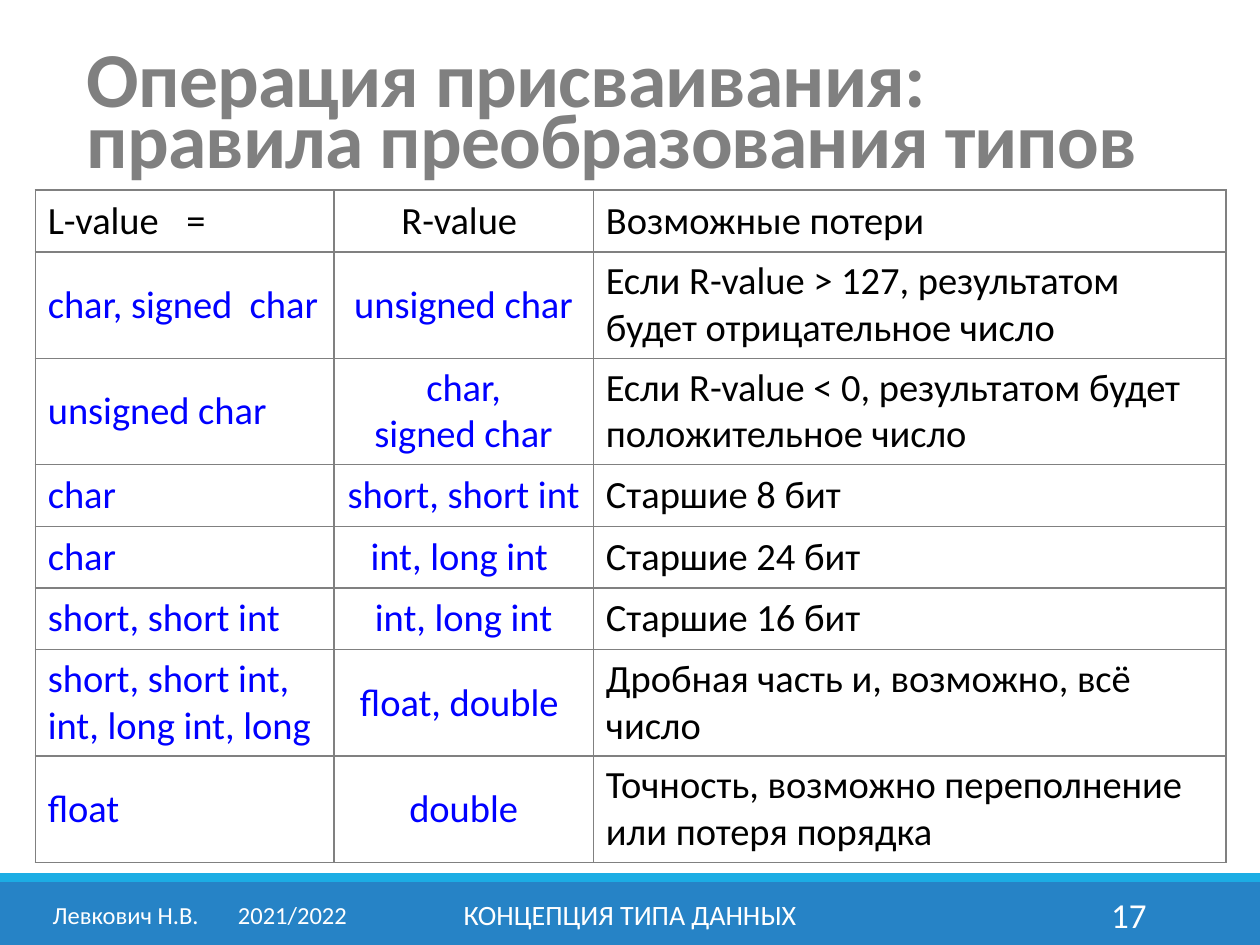
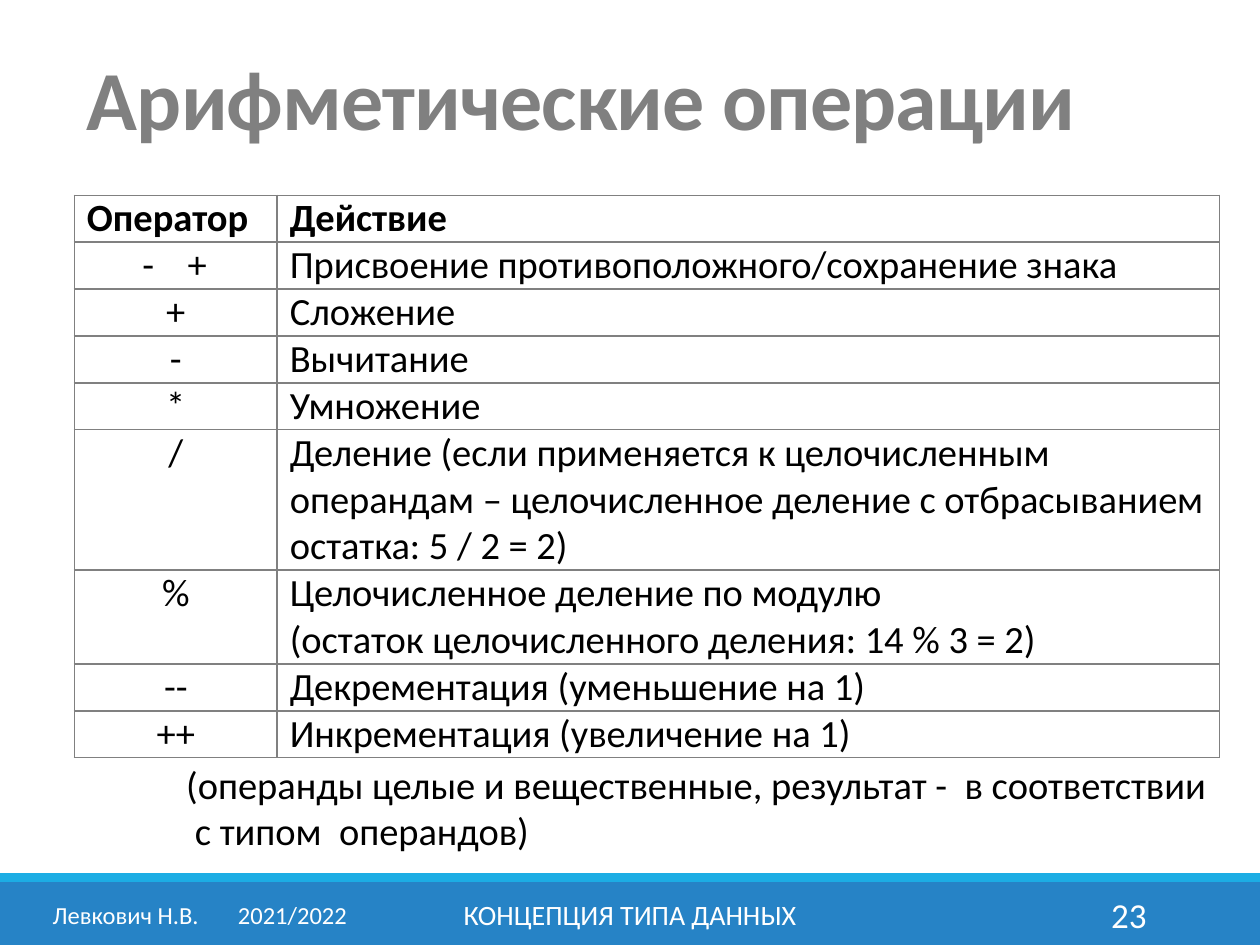
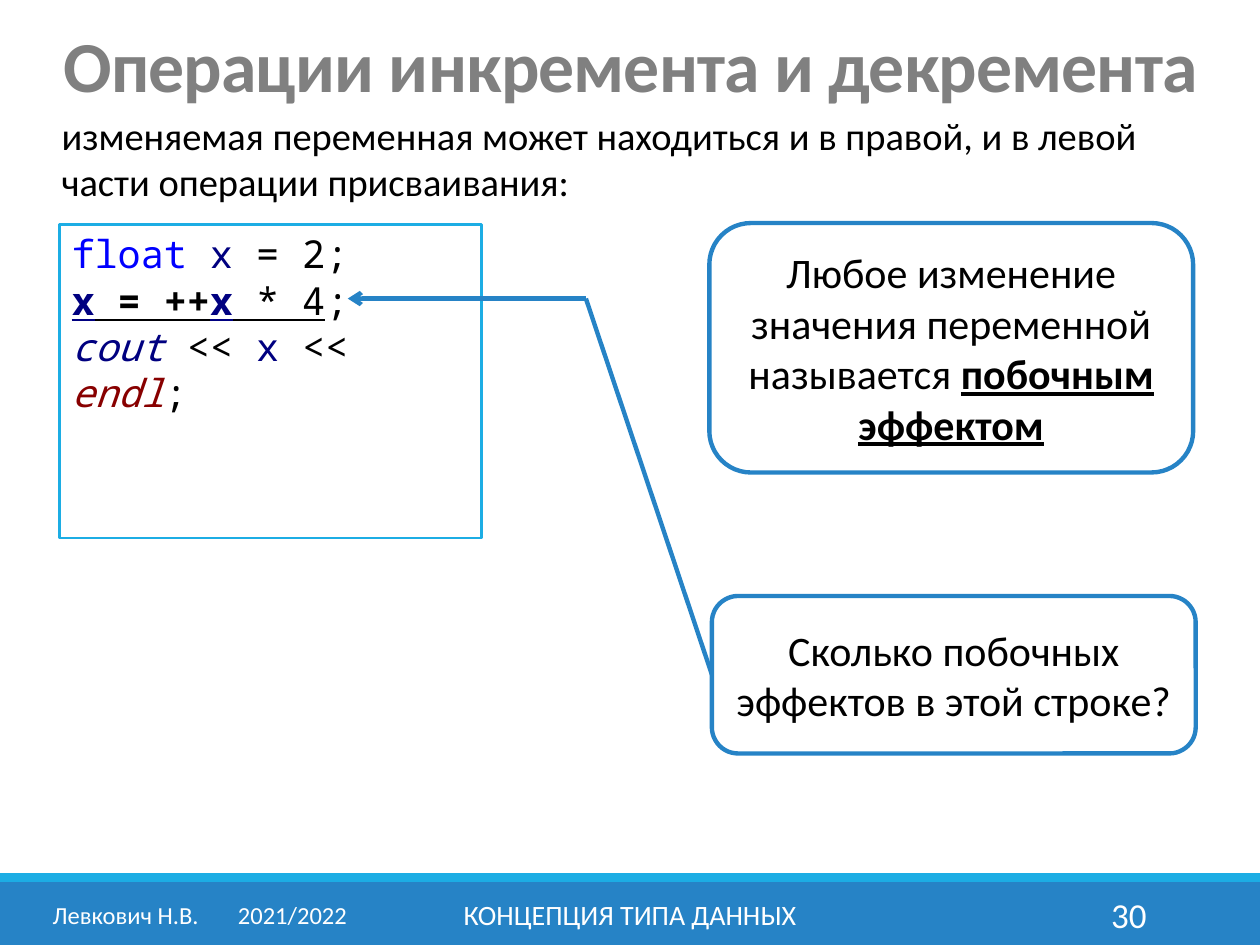
"""Build three slides on C++ type conversion, arithmetic and increment operations."""
from dataclasses import dataclass, field
from typing import Any, NamedTuple

from lxml import etree
from pptx import Presentation
from pptx import util as u
from pptx.dml.color import RGBColor
from pptx.enum import shapes, text
from pptx.oxml.ns import qn

LEFT, CENTER, RIGHT = text.PP_ALIGN.LEFT, text.PP_ALIGN.CENTER, text.PP_ALIGN.RIGHT
TOP, MIDDLE = text.MSO_ANCHOR.TOP, text.MSO_ANCHOR.MIDDLE


@dataclass(frozen=True)
class Theme:
    font: str = "Calibri"
    code_font: str = "Noto Sans Mono"
    white: str = "FFFFFF"
    black: str = "000000"
    gray: str = "808080"
    blue: str = "2683C6"
    sky: str = "1CADE4"
    keyword: str = "0000FF"
    variable: str = "000080"
    manipulator: str = "880000"
    body_size: float = 22
    callout_size: float = 24
    author_size: float = 14
    topic_size: float = 16
    number_size: float = 20
    thin: float = 1
    frame: float = 1.5
    thick: float = 2.5


THEME = Theme()


class Box(NamedTuple):
    left: float
    top: float
    width: float
    height: float

    def lengths(self) -> list[u.Length]:
        return [u.Inches(value) for value in self]


class Run(NamedTuple):
    words: str
    color: str = THEME.black
    style: dict[str, Any] = {}


@dataclass(frozen=True)
class Paragraph:
    runs: tuple[Run, ...]
    style: dict[str, Any] = field(default_factory=dict)
    tab: float | None = None


@dataclass(frozen=True)
class Title:
    words: str
    box: Box
    size: float
    spacing: float = 0.85
    alignment: Any = LEFT


@dataclass(frozen=True)
class Cell:
    words: str
    color: str = THEME.black
    alignment: Any = LEFT
    lines: int = 1
    bold: bool = False
    tab: float | None = None
    inset: float = 0.1


@dataclass(frozen=True)
class Grid:
    box: Box
    columns: tuple[float, ...]
    rows: list[tuple[Cell, ...]]
    line_height: float
    padding: float
    margin: float
    anchor: Any
    fill: str | None = None


def apply_format(target: Any, values: dict[str, Any]) -> None:
    for name, value in values.items():
        setattr(target, name, value)


def plain(words: str, color: str = THEME.black, alignment: Any = LEFT,
          tab: float | None = None, **style: Any) -> Paragraph:
    return Paragraph((Run(words, color, style),), {"alignment": alignment}, tab)


def add_tab(paragraph: Any, position: float) -> None:
    stops = etree.SubElement(paragraph._p.get_or_add_pPr(), qn("a:tabLst"))
    etree.SubElement(stops, qn("a:tab"), pos=str(u.Inches(position)), algn="l")


def write(frame: Any, paragraphs: list[Paragraph], size: float = THEME.body_size,
          font: str = THEME.font) -> None:
    for index, content in enumerate(paragraphs):
        paragraph = frame.add_paragraph() if index else frame.paragraphs[0]
        if content.tab is not None:
            add_tab(paragraph, content.tab)
        apply_format(paragraph, content.style)
        for words, color, style in content.runs:
            for line_index, line in enumerate(words.split("\n")):
                if line_index:
                    paragraph.add_line_break()
                run = paragraph.add_run()
                run.text = line
                apply_format(run.font, {"name": font, "size": u.Pt(size), **style})
                run.font.color.rgb = RGBColor.from_string(color)


def set_frame(frame: Any, anchor: Any) -> None:
    apply_format(frame, {"word_wrap": True, "auto_size": text.MSO_AUTO_SIZE.NONE,
                         "vertical_anchor": anchor})


def add_text(slide: Any, box: Box, paragraphs: list[Paragraph],
             size: float = THEME.body_size, anchor: Any = TOP) -> None:
    frame = slide.shapes.add_textbox(*box.lengths()).text_frame
    set_frame(frame, anchor)
    write(frame, paragraphs, size)


def add_panel(slide: Any, box: Box, fill: str | None = None, line: str | None = None,
              weight: float = THEME.thick,
              kind: Any = shapes.MSO_SHAPE.RECTANGLE, anchor: Any = MIDDLE) -> Any:
    shape = slide.shapes.add_shape(kind, *box.lengths())
    shape.shadow.inherit = False
    for part, color in ((shape.fill, fill), (shape.line.fill, line)):
        if color is None:
            part.background()
        else:
            part.solid()
            part.fore_color.rgb = RGBColor.from_string(color)
    if line:
        shape.line.width = u.Pt(weight)
    set_frame(shape.text_frame, anchor)
    return shape


def add_callout(slide: Any, box: Box, runs: tuple[Run, ...]) -> Any:
    shape = add_panel(slide, box, THEME.white, THEME.blue,
                      kind=shapes.MSO_SHAPE.ROUNDED_RECTANGLE)
    write(shape.text_frame, [Paragraph(runs, {"alignment": CENTER})], THEME.callout_size)
    return shape


def add_line(slide: Any, start: tuple[float, float], end: tuple[float, float],
             arrow: bool = False) -> Any:
    points = [u.Inches(value) for value in (*start, *end)]
    connector = slide.shapes.add_connector(shapes.MSO_CONNECTOR.STRAIGHT, *points)
    connector.line.color.rgb = RGBColor.from_string(THEME.blue)
    connector.line.width = u.Pt(THEME.thick)
    properties = connector._element.spPr
    if arrow:
        etree.SubElement(properties.find(qn("a:ln")), qn("a:tailEnd"), type="arrow")
    etree.SubElement(properties, qn("a:effectLst"))
    return connector


def add_borders(cell: Any) -> None:
    properties = cell._tc.get_or_add_tcPr()
    for side in ("lnL", "lnR", "lnT", "lnB"):
        line = etree.SubElement(properties, qn(f"a:{side}"), w=str(u.Pt(THEME.thin)))
        solid = etree.SubElement(line, qn("a:solidFill"))
        etree.SubElement(solid, qn("a:srgbClr"), val=THEME.gray)


def add_grid(slide: Any, grid: Grid) -> None:
    frame = slide.shapes.add_table(len(grid.rows), len(grid.columns), *grid.box.lengths())
    table = frame.table
    apply_format(table, {"first_row": False, "horz_banding": False})
    for column, width in zip(table.columns, grid.columns):
        column.width = u.Inches(width)
    for row, contents in zip(table.rows, grid.rows):
        lines = max(content.lines for content in contents)
        row.height = u.Inches(lines * grid.line_height + grid.padding)
        for cell, content in zip(row.cells, contents):
            add_borders(cell)
            if grid.fill:
                cell.fill.solid()
                cell.fill.fore_color.rgb = RGBColor.from_string(grid.fill)
            else:
                cell.fill.background()
            apply_format(cell, {"margin_left": u.Inches(content.inset),
                                "margin_right": u.Inches(0.1),
                                "margin_top": u.Inches(grid.margin),
                                "margin_bottom": u.Inches(grid.margin),
                                "vertical_anchor": grid.anchor})
            write(cell.text_frame, [plain(content.words, content.color, content.alignment,
                                          content.tab, bold=content.bold)])


def add_slide(presentation: Any, title: Title, number: int) -> Any:
    slide = presentation.slides.add_slide(presentation.slide_layouts[5])
    shape = slide.shapes.title
    apply_format(shape, dict(zip(("left", "top", "width", "height"), title.box.lengths())))
    set_frame(shape.text_frame, MIDDLE)
    style = {"alignment": title.alignment, "line_spacing": title.spacing}
    write(shape.text_frame,
          [Paragraph((Run(title.words, THEME.gray, {"bold": True}),), style)], title.size)
    for run in shape.text_frame.paragraphs[0].runs:
        run._r.get_or_add_rPr().set("spc", "-50")

    add_panel(slide, Box(0, 7, 10, 0.5), THEME.blue)
    add_panel(slide, Box(0, 6.93, 10, 0.07), THEME.sky)
    footers = (
        ("Левкович Н.В.\t2021/2022", 0.32, 2.61, THEME.author_size, LEFT, 1.47),
        ("КОНЦЕПЦИЯ ТИПА ДАННЫХ", 3.02, 3.96, THEME.topic_size, CENTER, None),
        (str(number), 8.12, 1.08, THEME.number_size, RIGHT, None),
    )
    for words, left, width, size, alignment, tab in footers:
        add_text(slide, Box(left, 7.06, width, 0.4),
                 [plain(words, THEME.white, alignment, tab)], size, MIDDLE)
    return slide


def build_conversions(presentation: Any) -> None:
    slide = add_slide(presentation, Title(
        "Операция присваивания:\nправила преобразования типов",
        Box(0.59, 0.36, 8.92, 1.18), 44.4, 0.65), 17)
    conversions = (
        ("char, signed  char", "unsigned char",
         "Если R-value > 127, результатом будет отрицательное число", 2),
        ("unsigned char", "char,\nsigned char",
         "Если R-value < 0, результатом будет положительное число", 2),
        ("char", "short, short int", "Старшие 8 бит", 1),
        ("char", "int, long int ", "Старшие 24 бит", 1),
        ("short, short int", "int, long int", "Старшие 16 бит", 1),
        ("short, short int,\nint, long int, long", "float, double ",
         "Дробная часть и, возможно, всё число", 2),
        ("float", "double", "Точность, возможно переполнение или потеря порядка", 2),
    )
    rows = [(Cell("L-value\t=", tab=1.1), Cell("R-value ", alignment=CENTER),
             Cell("Возможные потери"))]
    rows += [(Cell(target, THEME.keyword), Cell(source, THEME.keyword, CENTER),
              Cell(loss, lines=lines)) for target, source, loss, lines in conversions]
    add_grid(slide, Grid(Box(0.28, 1.51, 9.45, 5.29), (2.37, 2.06, 5.02), rows,
                         0.35, 0.14, 0.05, MIDDLE))


def build_arithmetic(presentation: Any) -> None:
    slide = add_slide(presentation, Title(
        "Арифметические операции", Box(0.59, 0.36, 8.92, 0.94), 48), 23)
    operations = (
        ("+", "Сложение", 1),
        ("-", "Вычитание", 1),
        ("*", "Умножение", 1),
        ("/", "Деление (если применяется к целочисленным операндам – целочисленное "
              "деление с отбрасыванием остатка: 5 / 2 = 2)", 3),
        ("%", "Целочисленное деление по модулю\n"
              "(остаток целочисленного деления: 14 % 3 = 2)", 2),
        ("--", "Декрементация (уменьшение на 1)", 1),
        ("++", "Инкрементация (увеличение на 1)", 1),
    )
    rows = [(Cell("Оператор", bold=True), Cell("Действие", bold=True)),
            (Cell("-\t+", tab=0.36, inset=0.54),
             Cell("Присвоение противоположного/сохранение знака"))]
    rows += [(Cell(sign, alignment=CENTER), Cell(action, lines=lines))
             for sign, action, lines in operations]
    add_grid(slide, Grid(Box(0.59, 1.55, 9.1, 4.4), (1.61, 7.48), rows,
                         0.37, 0, 0, TOP, THEME.white))
    add_text(slide, Box(1.38, 5.99, 9.16, 0.84), [plain(
        "(операнды целые и вещественные, результат -  в соответствии\n"
        " с типом  операндов)")])


def build_increment(presentation: Any) -> None:
    slide = add_slide(presentation, Title(
        "Операции инкремента и декремента", Box(0.28, 0.09, 9.45, 0.94), 41,
        alignment=CENTER), 30)
    add_text(slide, Box(0.39, 0.84, 9.08, 0.84), [plain(
        "изменяемая переменная может находиться и в правой, и в левой "
        "части операции присваивания:")])

    underlined = {"underline": True}
    strong = {"bold": True, **underlined}
    italic = {"italic": True}
    code = [
        (Run("float", THEME.keyword), Run(" "), Run("x", THEME.variable), Run(" = 2;")),
        (Run("x", THEME.variable, strong), Run(" = ++", style=strong),
         Run("x", THEME.variable, strong), Run(" ", style=strong),
         Run("* 4", style=underlined), Run(";")),
        (Run("cout", THEME.variable, italic), Run(" << "), Run("x", THEME.variable),
         Run(" << "), Run("endl", THEME.manipulator, italic), Run(";")),
    ]
    code_box = add_panel(slide, Box(0.47, 1.78, 3.35, 2.49), line=THEME.sky,
                         weight=THEME.frame, anchor=TOP)
    write(code_box.text_frame, [Paragraph(runs, {"alignment": LEFT}) for runs in code],
          font=THEME.code_font)

    add_callout(slide, Box(5.63, 1.77, 3.84, 1.98), (
        Run("Любое изменение значения переменной называется "),
        Run("побочным эффектом", style=strong)))
    question = add_callout(slide, Box(5.65, 4.73, 3.84, 1.25), (
        Run("Сколько побочных эффектов в этой строке?"),))
    bend = (4.65, 2.37)
    add_line(slide, bend, (2.76, 2.37), arrow=True)
    add_line(slide, bend, (5.65, 5.36)).end_connect(question, 1)


def main() -> None:
    presentation = Presentation()
    apply_format(presentation, {"slide_width": u.Inches(10), "slide_height": u.Inches(7.5)})
    for build in (build_conversions, build_arithmetic, build_increment):
        build(presentation)
    presentation.save("out.pptx")


if __name__ == "__main__":
    main()
